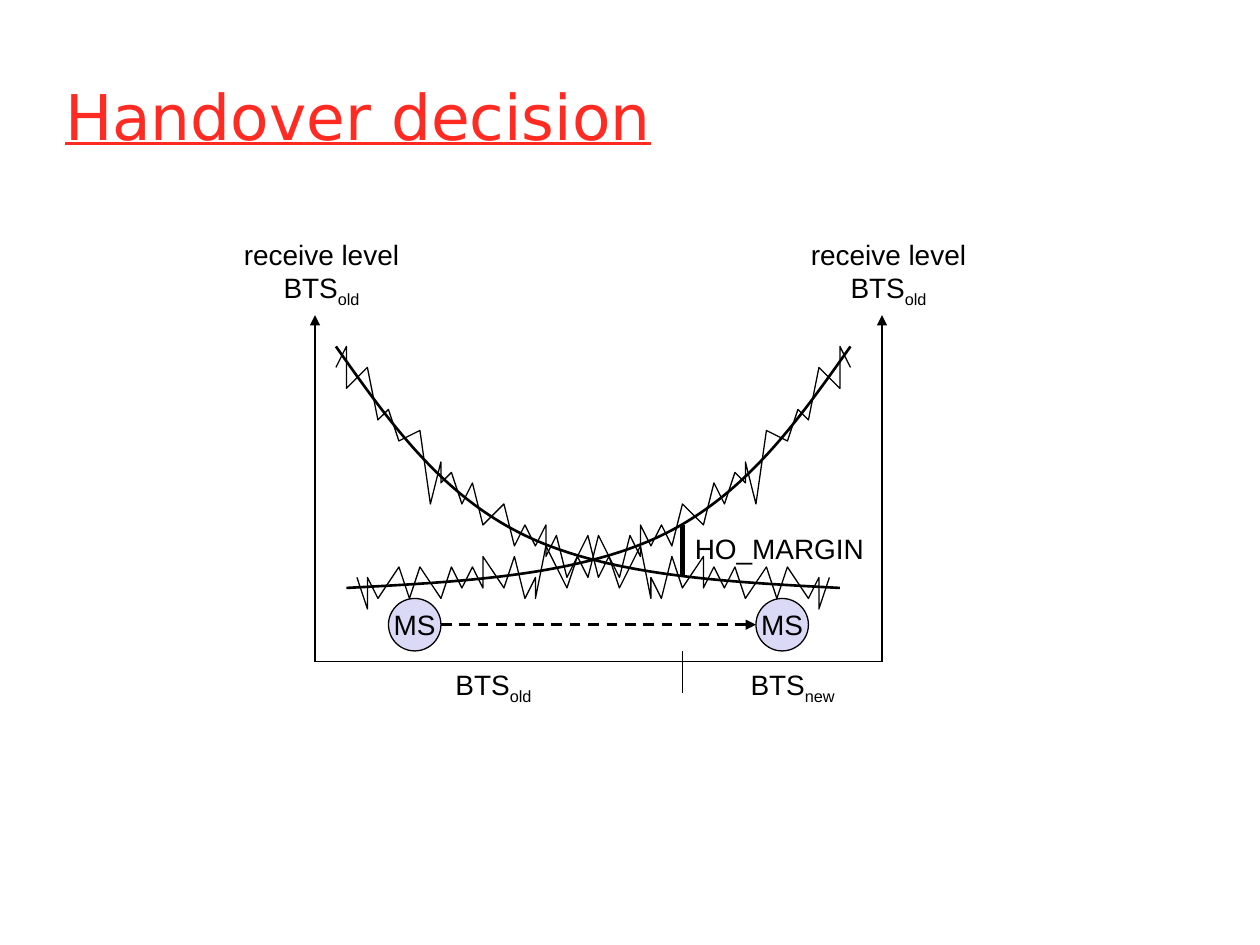
import pptx
import pptx.util
from dataclasses import dataclass
from lxml import etree
from pptx.dml.color import RGBColor
from pptx.enum.dml import MSO_LINE
from pptx.enum.shapes import MSO_CONNECTOR, MSO_SHAPE
from pptx.enum.text import MSO_ANCHOR, MSO_AUTO_SIZE, PP_ALIGN
from pptx.oxml.ns import qn


@dataclass(frozen=True)
class Theme:
    ink: RGBColor = RGBColor(0x00, 0x00, 0x00)
    title: RGBColor = RGBColor(0xFF, 0x2B, 0x22)
    station: RGBColor = RGBColor(0xDA, 0xDA, 0xF6)
    title_font: str = "DejaVu Sans"
    label_font: str = "Arial"
    title_size: int = 36
    label_size: int = 16
    thin: float = 0.75
    medium: float = 1.5
    thick: float = 3


THEME = Theme()

# All lengths are in grid units: the slide is 120 columns wide.
COLUMNS = 120
SLIDE_WIDTH, SLIDE_HEIGHT = pptx.util.Inches(10), pptx.util.Inches(7.5)
UNIT = SLIDE_WIDTH / COLUMNS

TITLE = "Handover decision"
TITLE_BOX = (5, 5, 109, 12)

AXIS_LEFT, AXIS_RIGHT, AXIS_TOP, AXIS_BASE = 30, 84, 30, 63
HANDOVER = 65  # column where the mobile station changes cell
MIRROR_SUM = 113  # columns of the old and new cell's signal add up to this

STATION = "MS"
STATION_LEFTS, STATION_TOP, STATION_SIZE = (37, 72), 57, 5

# A label is a list of lines, a line a list of (text, is subscript).
BTS_OLD = [("BTS", False), ("old", True)]
BTS_NEW = [("BTS", False), ("new", True)]
AXIS_LABEL = [[("receive level", False)], BTS_OLD]
AXIS_LABEL_SIZE = (17.16, 8)
AXIS_LABEL_SHIFT = -7.96  # from the axis to the label's left edge

LABELS = [  # lines, left, top, width, height
    ([[("HO_MARGIN", False)]], HANDOVER, 50, 18.5, 4.4),
    ([BTS_OLD], 42.2, AXIS_BASE, 9.7, 4.9),
    ([BTS_NEW], 70.3, AXIS_BASE, 10.5, 4.9),
]

# Mean level of the old cell: start, then control, control, end per segment.
MEAN_LEVEL = [
    (32, 33), (37, 40.08), (42, 47.16), (50, 51),
    (58, 54.84), (69, 55.42), (80, 56),
]
MEASURED_LEVEL = [
    (32, 35), (33, 33), (33, 37), (35, 35), (36, 40), (37, 39), (38, 42),
    (40, 41), (41, 48), (42, 44), (42, 46), (43, 45), (44, 48), (45, 46),
    (46, 50), (48, 48), (49, 52), (50, 50), (51, 52), (52, 50), (52, 53),
    (53, 51), (54, 55), (56, 51), (57, 55), (58, 53), (59, 56), (61, 52),
    (62, 57), (62, 55), (63, 57), (64, 53), (65, 56), (67, 53), (67, 56),
    (68, 54), (69, 56), (70, 54), (71, 57), (73, 54), (74, 57), (75, 54),
    (77, 57), (78, 55), (78, 58), (79, 55),
]


def grid(*lengths):
    return [pptx.util.Emu(round(length * UNIT)) for length in lengths]


def mirrored(points):
    return [(MIRROR_SUM - x, y) for x, y in points]


def add_run(paragraph, text, font, size, color, subscript=False):
    run = paragraph.add_run()
    run.text = text
    run.font.name = font
    run.font.size = pptx.util.Pt(size)
    run.font.color.rgb = color
    if subscript:
        run._r.get_or_add_rPr().set("baseline", "-25000")
    return run


def write_label(frame, lines, align):
    for number, line in enumerate(lines):
        paragraph = frame.add_paragraph() if number else frame.paragraphs[0]
        paragraph.alignment = align
        for text, subscript in line:
            add_run(paragraph, text, THEME.label_font, THEME.label_size,
                    THEME.ink, subscript)


def add_label(slide, lines, box, align=PP_ALIGN.LEFT, wrap=True):
    frame = slide.shapes.add_textbox(*grid(*box)).text_frame
    frame.word_wrap = wrap
    frame.auto_size = MSO_AUTO_SIZE.SHAPE_TO_FIT_TEXT
    write_label(frame, lines, align)


def style_line(line, width):
    line.color.rgb = THEME.ink
    line.width = pptx.util.Pt(width)


def add_line(slide, start, end, width=THEME.thin, arrow=False, dashed=False):
    connector = slide.shapes.add_connector(
        MSO_CONNECTOR.STRAIGHT, *grid(*start, *end))
    style_line(connector.line, width)
    if dashed:
        connector.line.dash_style = MSO_LINE.DASH
    if arrow:
        etree.SubElement(connector.line._get_or_add_ln(), qn("a:tailEnd"),
                         type="triangle")
    etree.SubElement(connector._element.spPr, qn("a:effectLst"))


def add_trace(slide, points, width, curved=False):
    """Draw an open outline; if curved, each three points form a Bezier."""
    start, *rest = [grid(*point) for point in points]
    builder = slide.shapes.build_freeform(*start)
    builder.add_line_segments(rest, close=False)
    trace = builder.convert_to_shape()
    trace.shadow.inherit = False
    trace.fill.background()
    style_line(trace.line, width)
    if curved:
        segments = list(trace._element.iter(qn("a:lnTo")))
        for first in range(0, len(segments), 3):
            curve = etree.Element(qn("a:cubicBezTo"))
            segments[first].addprevious(curve)
            for segment in segments[first:first + 3]:
                curve.append(segment[0])
                segment.getparent().remove(segment)


def add_station(slide, left):
    station = slide.shapes.add_shape(
        MSO_SHAPE.OVAL, *grid(left, STATION_TOP, STATION_SIZE, STATION_SIZE))
    station.shadow.inherit = False
    station.fill.solid()
    station.fill.fore_color.rgb = THEME.station
    style_line(station.line, THEME.thin)
    station.text_frame.word_wrap = False
    station.text_frame.vertical_anchor = MSO_ANCHOR.MIDDLE
    write_label(station.text_frame, [[(STATION, False)]], PP_ALIGN.CENTER)


def add_title(slide):
    title = slide.shapes.title
    title.left, title.top, title.width, title.height = grid(*TITLE_BOX)
    frame = title.text_frame
    frame.auto_size = MSO_AUTO_SIZE.NONE
    frame.vertical_anchor = MSO_ANCHOR.MIDDLE
    frame.paragraphs[0].alignment = PP_ALIGN.LEFT
    run = add_run(frame.paragraphs[0], TITLE, THEME.title_font,
                  THEME.title_size, THEME.title)
    run.font.underline = True


def main():
    deck = pptx.Presentation()
    deck.slide_width, deck.slide_height = SLIDE_WIDTH, SLIDE_HEIGHT
    slide = deck.slides.add_slide(deck.slide_layouts.get_by_name("Title Only"))
    add_title(slide)

    for axis in (AXIS_LEFT, AXIS_RIGHT):
        add_line(slide, (axis, AXIS_BASE), (axis, AXIS_TOP), arrow=True)
        label_box = (axis + AXIS_LABEL_SHIFT, 22, *AXIS_LABEL_SIZE)
        add_label(slide, AXIS_LABEL, label_box, PP_ALIGN.CENTER, wrap=False)
    add_line(slide, (AXIS_LEFT, AXIS_BASE), (AXIS_RIGHT, AXIS_BASE))

    for left in STATION_LEFTS:
        add_station(slide, left)
    old_left, new_left = STATION_LEFTS
    path_row = STATION_TOP + STATION_SIZE / 2
    add_line(slide, (old_left + STATION_SIZE, path_row), (new_left, path_row),
             THEME.medium, arrow=True, dashed=True)

    for mean in (MEAN_LEVEL, mirrored(MEAN_LEVEL)):
        add_trace(slide, mean, THEME.medium, curved=True)
    add_line(slide, (HANDOVER, 55), (HANDOVER, 50), THEME.thick)
    for measured in (MEASURED_LEVEL, mirrored(MEASURED_LEVEL)):
        add_trace(slide, measured, THEME.thin)
    add_line(slide, (HANDOVER, 62), (HANDOVER, 66))

    for lines, *box in LABELS:
        add_label(slide, lines, box)

    deck.save("out.pptx")


if __name__ == "__main__":
    main()
